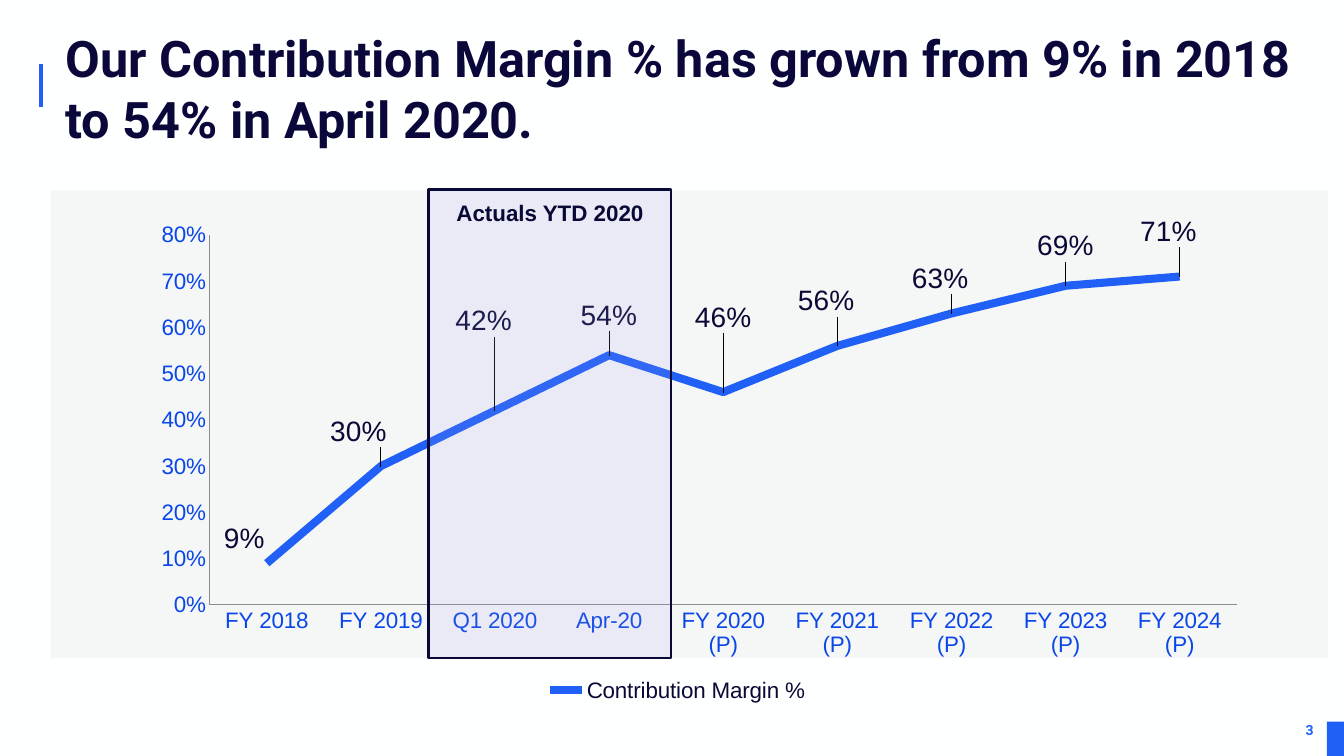
from lxml import etree
from pptx import Presentation
from pptx.chart.data import CategoryChartData
from pptx.dml.color import RGBColor
from pptx.enum.chart import XL_CHART_TYPE, XL_LABEL_POSITION, XL_LEGEND_POSITION, XL_TICK_MARK
from pptx.enum.shapes import MSO_CONNECTOR, MSO_SHAPE
from pptx.enum.text import MSO_ANCHOR, PP_ALIGN
from pptx.oxml import parse_xml
from pptx.oxml.ns import nsdecls, qn
from pptx.util import Inches, Pt

LINE_CHART, STRAIGHT, RECT = XL_CHART_TYPE.LINE, MSO_CONNECTOR.STRAIGHT, MSO_SHAPE.RECTANGLE
ABOVE, BOTTOM, NO_TICK = XL_LABEL_POSITION.ABOVE, XL_LEGEND_POSITION.BOTTOM, XL_TICK_MARK.NONE
TOP, MIDDLE = MSO_ANCHOR.TOP, MSO_ANCHOR.MIDDLE
LEFT, CENTER, RIGHT = PP_ALIGN.LEFT, PP_ALIGN.CENTER, PP_ALIGN.RIGHT

PAPER = RGBColor(0xFE, 0xFF, 0xFF)
BLUE = RGBColor(0x20, 0x60, 0xF6)
AXIS_BLUE = RGBColor(0x0A, 0x47, 0xE9)
NAVY = RGBColor(0x09, 0x09, 0x36)
TITLE_NAVY = RGBColor(0x0A, 0x08, 0x3B)
PANEL = RGBColor(0xF5, 0xF6, 0xF6)
LILAC = RGBColor(0x9F, 0x9F, 0xEF)
GRAY = RGBColor(0x8C, 0x8C, 0x8C)

# Category, margin, label shift as a share of the chart's width and height
MARGINS = [
    ("FY 2018", 0.09, -0.02, -0.01),
    ("FY 2019", 0.30, -0.02, -0.03),
    ("Q1 2020", 0.42, -0.01, -0.14),
    ("Apr-20", 0.54, 0, -0.04),
    ("FY 2020 (P)", 0.46, 0, -0.11),
    ("FY 2021 (P)", 0.56, -0.01, -0.05),
    ("FY 2022 (P)", 0.63, -0.01, -0.03),
    ("FY 2023 (P)", 0.69, 0, -0.04),
    ("FY 2024 (P)", 0.71, -0.01, -0.05),
]

LEADER_LINES = (
    f'<c:extLst {nsdecls("c", "a")}><c:ext uri="{{CE6537A1-D6FC-4f65-9D91-7224C49458BB}}" '
    'xmlns:c15="http://schemas.microsoft.com/office/drawing/2012/chart">'
    '<c15:showLeaderLines val="1"/><c15:leaderLines><c:spPr><a:ln w="9525"><a:solidFill>'
    f'<a:srgbClr val="{NAVY}"/></a:solidFill></a:ln></c:spPr></c15:leaderLines>'
    '</c:ext></c:extLst>')


def layout(**values):
    """Manual chart layout; values are shares of the chart's size."""
    parts = "".join(f'<c:{k} val="{v}"/>' for k, v in values.items())
    return parse_xml(f'<c:layout {nsdecls("c")}><c:manualLayout>{parts}</c:manualLayout></c:layout>')


class Deck:
    def __init__(self):
        self.prs = Presentation()
        self.prs.slide_width, self.prs.slide_height = Inches(13.33), Inches(7.5)
        self.s = self.prs.slides.add_slide(self.prs.slide_layouts[6])
        fill = self.s.background.fill
        fill.solid()
        fill.fore_color.rgb = PAPER

    def rect(self, x, y, w, h, color, alpha=None, border=None):
        sp = self.s.shapes.add_shape(RECT, Inches(x), Inches(y), Inches(w), Inches(h))
        sp.shadow.inherit = False
        sp.fill.solid()
        sp.fill.fore_color.rgb = color
        if alpha:
            clr = sp.fill._xPr.find(".//" + qn("a:srgbClr"))
            etree.SubElement(clr, qn("a:alpha")).set("val", str(alpha * 1000))
        if border:
            sp.line.color.rgb = border
            sp.line.width = Pt(1.5)
        else:
            sp.line.fill.background()

    def line(self, x1, y1, x2, y2, color, width):
        ln = self.s.shapes.add_connector(STRAIGHT, Inches(x1), Inches(y1), Inches(x2), Inches(y2))
        ln.line.color.rgb = color
        ln.line.width = Pt(width)
        etree.SubElement(ln._element.spPr, qn("a:effectLst"))

    def text(self, x, y, w, h, text, size, font, color, align=LEFT, anchor=TOP, spacing=None):
        tf = self.s.shapes.add_textbox(Inches(x), Inches(y), Inches(w), Inches(h)).text_frame
        tf.word_wrap = True
        tf.margin_left = tf.margin_right = tf.margin_top = tf.margin_bottom = 0
        tf.vertical_anchor = anchor
        p = tf.paragraphs[0]
        p.alignment = align
        if spacing:
            p.line_spacing = spacing
        r = p.add_run()
        r.text = text
        self.font(r.font, size, color, font)
        r.font.bold = True

    def font(self, f, size, color, name="Arial"):
        f.size, f.name = Pt(size), name
        f.color.rgb = color

    def line_chart(self, x, y, w, h, name, rows):
        data = CategoryChartData(number_format="0%")
        data.categories = [row[0] for row in rows]
        data.add_series(name, [row[1] for row in rows])
        chart = self.s.shapes.add_chart(
            LINE_CHART, Inches(x), Inches(y), Inches(w), Inches(h), data).chart
        self.font(chart.font, 10, NAVY)
        chart.has_title = False

        # Axes
        for axis in (chart.category_axis, chart.value_axis):
            axis.major_tick_mark = axis.minor_tick_mark = NO_TICK
            axis.has_major_gridlines = False
            axis.format.line.color.rgb = GRAY
            axis.format.line.width = Pt(0.75)
            self.font(axis.tick_labels.font, 16, AXIS_BLUE)
        va = chart.value_axis
        va.minimum_scale, va.maximum_scale, va.major_unit = 0, 0.8, 0.1
        va.tick_labels.number_format = "0%"
        va.tick_labels.number_format_is_linked = False

        # Plot area and legend
        area = chart._chartSpace.chart.plotArea
        for old in area.findall(qn("c:layout")):
            area.remove(old)
        area.insert(0, layout(layoutTarget="inner", xMode="edge", yMode="edge",
                              x=0.063, y=0.045, w=0.916, h=0.746))
        chart.has_legend = True
        chart.legend.position = BOTTOM
        chart.legend.include_in_layout = False
        self.font(chart.legend.font, 16, NAVY)
        legend = chart.legend._element
        for old in legend.findall(qn("c:layout")):
            legend.remove(old)
        legend.find(qn("c:legendPos")).addnext(
            layout(xMode="edge", yMode="edge", x=0.36, y=0.93))

        # Series and shifted labels with leader lines
        plot = chart.plots[0]
        plot.vary_by_categories = False
        ser = plot.series[0]
        ser.smooth = False
        ser.format.line.color.rgb = BLUE
        ser.format.line.width = Pt(5.75)
        labels = ser.data_labels
        labels.show_value = True
        labels.position = ABOVE
        self.font(labels.font, 20, NAVY)
        for i, (_, _, dx, dy) in enumerate(rows):
            label = ser.points[i].data_label
            self.font(label.font, 20, NAVY)
            label.position = ABOVE
        for dlbl, (_, _, dx, dy) in zip(labels._element.findall(qn("c:dLbl")), rows):
            dlbl.find(qn("c:idx")).addnext(layout(x=dx, y=dy))
        labels._element.append(parse_xml(LEADER_LINES))


def main():
    d = Deck()
    # Page furniture and title
    d.rect(13.16, 7.16, 0.17, 0.34, BLUE)
    d.line(0.41, 0.64, 0.41, 1.06, BLUE, 3)
    d.text(0.65, 0.27, 12.2, 1.21,
           "Our Contribution Margin % has grown from 9% in 2018 to 54% in April 2020.",
           36, "Roboto", TITLE_NAVY)
    d.text(12.67, 7.16, 0.36, 0.17, "3", 10, "Roboto", BLUE, RIGHT, MIDDLE)
    # Chart on its panel
    d.rect(0.5, 1.89, 12.67, 4.64, PANEL)
    d.line_chart(1.38, 2.11, 11.12, 4.92, "Contribution Margin %", MARGINS)
    # Highlighted actuals
    d.rect(4.25, 1.88, 2.41, 4.65, LILAC, alpha=13, border=NAVY)
    d.text(4.5, 1.92, 1.91, 0.29, "Actuals YTD 2020", 16, "Arial", NAVY, CENTER, spacing=1.2)
    d.prs.save("out.pptx")


if __name__ == "__main__":
    main()
